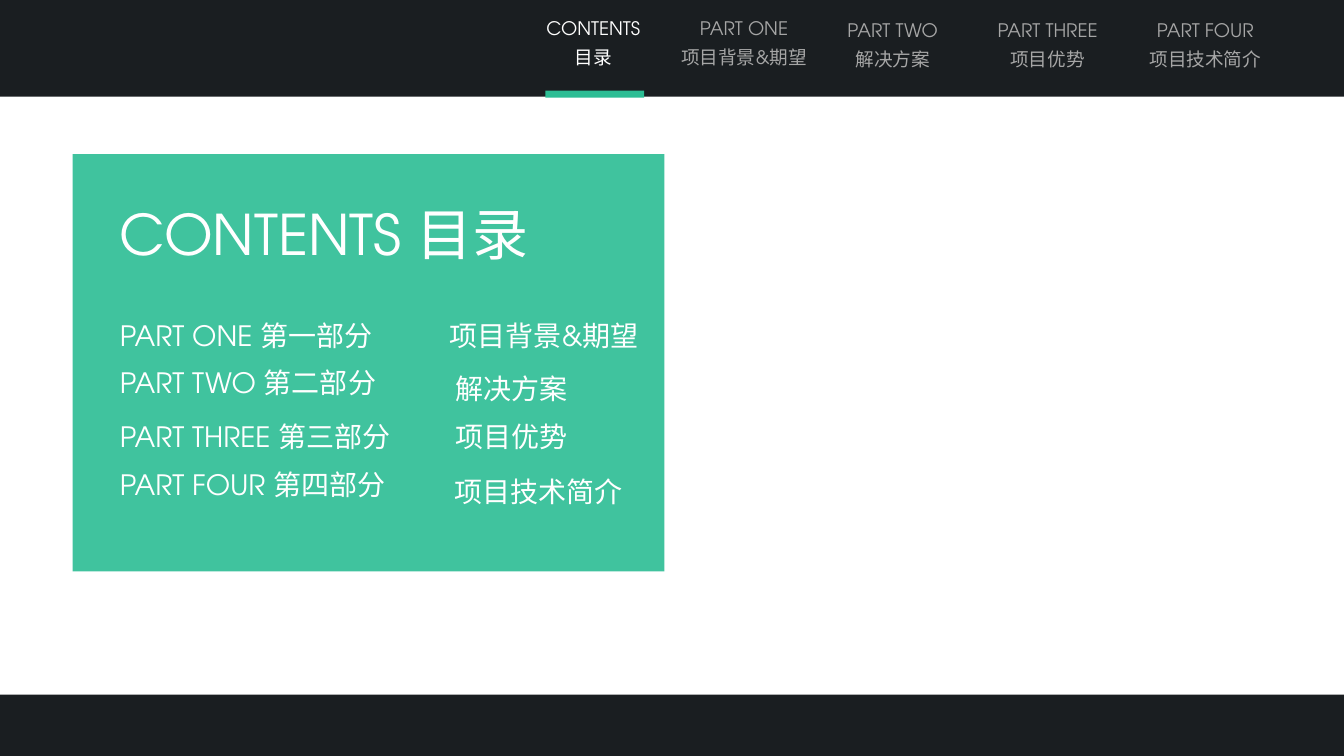
from pptx import Presentation, util as u
from pptx.dml.color import RGBColor
from pptx.enum import shapes, text
from pptx.oxml.ns import qn
from lxml import etree

PX = 9144  # 100 px to the inch
THEME = {
    "font": "TeX Gyre Adventor",
    "dark": "1A1E21", "green": "2CBD94", "white": "FFFFFF", "grey": "A6A6A6",
    "title": 40, "item": 20, "nav": 13.3,
}
W, H = 1333, 750

prs = Presentation()
prs.slide_width, prs.slide_height = W * PX, H * PX
s = prs.slides.add_slide(prs.slide_layouts[6])


def add_rect(x, y, w, h, color, alpha=None):
    """Add a plain rectangle; alpha is its opacity in percent."""
    sp = s.shapes.add_shape(shapes.MSO_SHAPE.RECTANGLE, x * PX, y * PX, w * PX, h * PX)
    sp.shadow.inherit = False
    sp.line.fill.background()
    sp.fill.solid()
    sp.fill.fore_color.rgb = RGBColor.from_string(THEME[color])
    if alpha:
        clr = sp.element.spPr.find(qn("a:solidFill"))[0]
        etree.SubElement(clr, qn("a:alpha"), val=str(alpha * 1000))


def add_text(lines, x, y, w, h, size="item", color="white", align=text.PP_ALIGN.LEFT):
    tf = s.shapes.add_textbox(x * PX, y * PX, w * PX, h * PX).text_frame
    tf.word_wrap = False
    tf.auto_size = text.MSO_AUTO_SIZE.SHAPE_TO_FIT_TEXT
    for i, line in enumerate(lines):
        p = tf.paragraphs[0] if i == 0 else tf.add_paragraph()
        p.alignment, p.line_spacing = align, 1.3
        r = p.add_run()
        r.text = line
        r.font.name, r.font.size = THEME["font"], u.Pt(THEME[size])
        r.font.color.rgb = RGBColor.from_string(THEME[color])


# Navigation bar
add_rect(0, 0, W, 96, "dark")
add_rect(541, 90, 98, 7, "green")
nav = [
    ("CONTENTS", "目录", 531, 5, 115, "white"),
    ("PART ONE", "项目背景&期望", 660, 5, 156, "grey"),
    ("PART TWO", "解决方案", 822, 7, 127, "grey"),
    ("PART THREE", "项目优势", 965, 7, 148, "grey"),
    ("PART FOUR", "项目技术简介", 1126, 7, 139, "grey"),
]
for name, topic, x, y, w, color in nav:
    add_text([name, topic], x, y, w, 69, "nav", color, text.PP_ALIGN.CENTER)

# Contents panel and footer
add_rect(72, 153, 587, 414, "green", alpha=90)
add_rect(0, 689, W, 61, "dark")
add_text(["CONTENTS 目录"], 109, 173, 475, 97, "title")

items = [
    ("PART ONE 第一部分", 301, 297, "项目背景&期望", 436, 301, 223),
    ("PART TWO 第二部分", 348, 303, "解决方案", 442, 354, 142),
    ("PART THREE 第三部分", 401, 333, "项目优势", 442, 401, 142),
    ("PART FOUR 第四部分", 449, 314, "项目技术简介", 441, 456, 198),
]
for part, part_y, part_w, topic, topic_x, topic_y, topic_w in items:
    add_text([part], 109, part_y, part_w, 54)
    add_text([topic], topic_x, topic_y, topic_w, 54)

prs.save("out.pptx")
